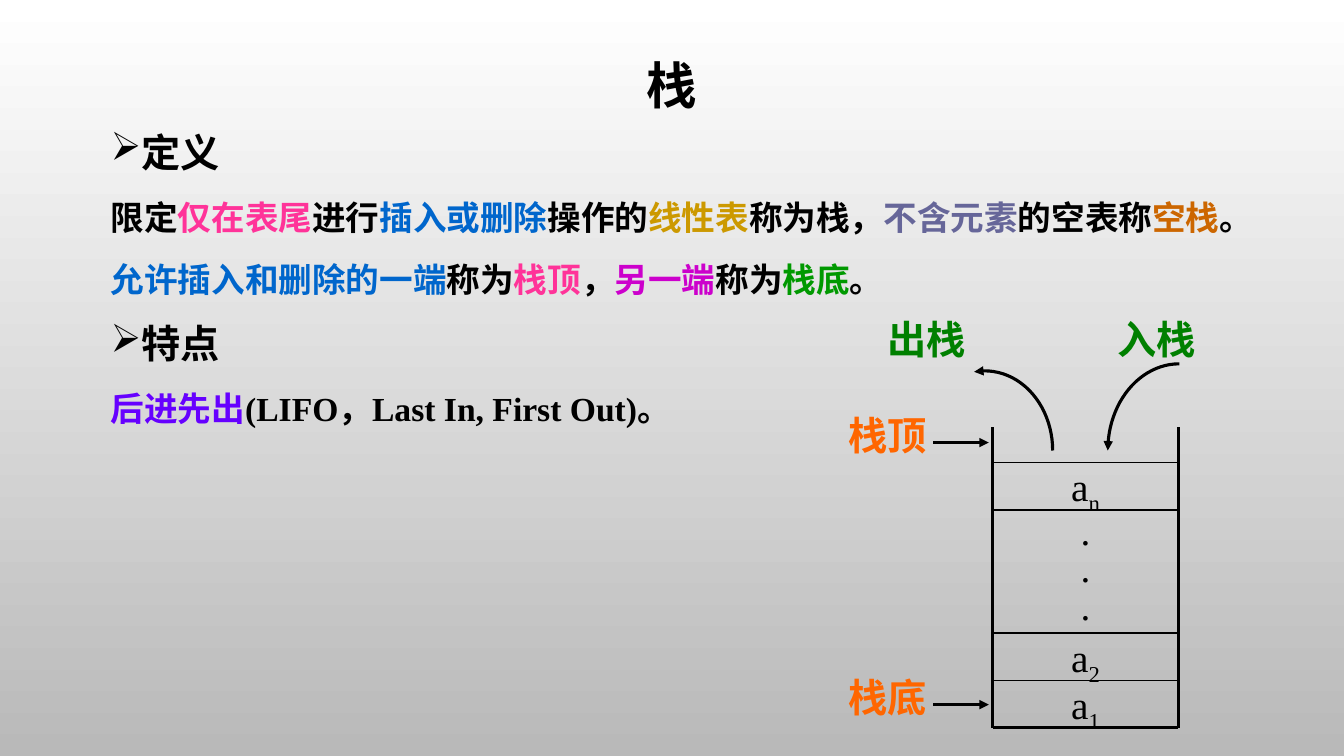
import math

from lxml import etree
from pptx import Presentation
from pptx.dml.color import RGBColor
from pptx.enum.shapes import MSO_CONNECTOR
from pptx.enum.text import MSO_ANCHOR, PP_ALIGN
from pptx.oxml.ns import qn
from pptx.util import Pt

CENTER, LEFT = PP_ALIGN.CENTER, PP_ALIGN.LEFT
TOP, MIDDLE = MSO_ANCHOR.TOP, MSO_ANCHOR.MIDDLE
STRAIGHT = MSO_CONNECTOR.STRAIGHT
SERIF, CHINESE = "Times New Roman", "Noto Sans CJK SC"
BLACK, PINK, BLUE = "000000", "FF3399", "0066CC"
ORANGE, GREEN = "FF6600", "008000"

deck = Presentation()
deck.slide_width, deck.slide_height = Pt(960), Pt(540)
slide = deck.slides.add_slide(deck.slide_layouts[6])


def add_text(bounds, paragraphs, font=SERIF, anchor=TOP, margin_top=3.6):
    """Each paragraph is (paragraph format, font format, [(text, colour), ...])."""
    box = slide.shapes.add_textbox(*(Pt(value) for value in bounds))
    frame = box.text_frame
    frame.word_wrap = True
    frame.vertical_anchor = anchor
    frame.margin_top = Pt(margin_top)
    for index, (para_format, font_format, pieces) in enumerate(paragraphs):
        para = frame.add_paragraph() if index else frame.paragraphs[0]
        for name, value in para_format.items():
            setattr(para, name, value)
        for text, color in pieces:
            span = para.add_run()
            span.text = text
            span.font.name = font
            span.font.color.rgb = RGBColor.from_string(color)
            for name, value in font_format.items():
                setattr(span.font, name, value)
            etree.SubElement(span.font._element, qn("a:ea"), typeface=CHINESE)
    return box


def style_line(shape, weight, arrow=False):
    shape.line.color.rgb = RGBColor.from_string(BLACK)
    shape.line.width = Pt(weight)
    properties = shape._element.spPr
    if arrow:
        etree.SubElement(properties.find(qn("a:ln")), qn("a:tailEnd"), type="triangle")
    if properties.find(qn("a:effectLst")) is None:
        etree.SubElement(properties, qn("a:effectLst"))


# Background
fill = slide.background.fill
fill.gradient()
fill.gradient_angle = 270
for stop, (position, color) in zip(fill.gradient_stops, [(0, "FFFFFF"), (1, "B9B9B9")]):
    stop.position = position
    stop.color.rgb = RGBColor.from_string(color)

# Title and body
add_text((72, 0, 816, 126),
         [({"alignment": CENTER, "line_spacing": 0.9},
           {"size": Pt(36), "bold": True}, [("栈", BLACK)])],
         font="Calibri", anchor=MIDDLE)

heading = ({"line_spacing": Pt(40), "space_before": Pt(8)}, {"size": Pt(28), "bold": True})
detail = ({"line_spacing": Pt(34.3), "space_before": Pt(10)}, {"size": Pt(24), "bold": True})
body = add_text((72, 85, 816, 436), [
    (*heading, [("定义", BLACK)]),
    (*detail, [("限定", BLACK), ("仅在表尾", PINK), ("进行", BLACK), ("插入或删除", BLUE),
               ("操作的", BLACK), ("线性表", "CC9900"), ("称为栈，", BLACK),
               ("不含元素", "666699"), ("的空表称", BLACK), ("空栈", "CC6600"),
               ("。", BLACK)]),
    (*detail, [("允许插入和删除的一端", BLUE), ("称为", BLACK), ("栈顶", PINK), ("，", BLACK),
               ("另一端", "CC00CC"), ("称为", BLACK), ("栈底", "009900"), ("。", BLACK)]),
    (*heading, [("特点", BLACK)]),
    (*detail, [("后进先出", "6600FF"), ("(LIFO，Last In, First Out)。", BLACK)]),
], margin_top=0)
for index in (0, 3):
    properties = body.text_frame.paragraphs[index]._p.get_or_add_pPr()
    properties.set("marL", str(Pt(18)))
    properties.set("indent", str(-Pt(18)))
    bullet_color = etree.SubElement(properties, qn("a:buClr"))
    etree.SubElement(bullet_color, qn("a:srgbClr"), val=BLACK)
    etree.SubElement(properties, qn("a:buChar"), char="➢")

# Stack cells
stack_left, stack_right, stack_rim = 709.2, 841.7, 305.3
cell_edges = [330.5, 364.3, 452.2, 486, 519.8]
cell_format = {"alignment": CENTER, "line_spacing": 0.8}
for top, bottom, subscript in zip(cell_edges, cell_edges[1:], ["n", None, "2", "1"]):
    bounds = (stack_left, top, stack_right - stack_left, bottom - top)
    if subscript:
        para_format = {**cell_format, "space_before": Pt(5.6)}
        cell = add_text(bounds, [(para_format, {"size": Pt(28)},
                                  [("a", BLACK), (subscript, BLACK)])])
        cell.text_frame.paragraphs[0].runs[1].font._element.set("baseline", "-25000")
    else:
        add_text(bounds, [(cell_format, {"size": Pt(28)}, [(".", BLACK)])] * 3)

# Cell borders, walls and pointers
floor = cell_edges[-1]
lines = [(stack_left, y, stack_right, y, 1, False) for y in cell_edges[:-1]]
lines.append((stack_left, floor, stack_right, floor, 2.25, False))
lines += [(x, stack_rim, x, floor, 2.25, False) for x in (stack_left, stack_right)]
lines += [(666.7, y, 706.3, y, 2.25, True) for y in (316.1, 503.3)]
for x1, y1, x2, y2, weight, arrow in lines:
    line = slide.shapes.add_connector(STRAIGHT, Pt(x1), Pt(y1), Pt(x2), Pt(y2))
    style_line(line, weight, arrow)

# Labels
for text, left, top, width, color in [
    ("栈底", 599, 481, 73.4, ORANGE),
    ("栈顶", 599, 293.8, 73.4, ORANGE),
    ("出栈", 627.1, 225.4, 90.7, GREEN),
    ("入栈", 791.3, 225.4, 79.2, GREEN),
]:
    add_text((left, top, width, 41),
             [({"alignment": LEFT}, {"size": Pt(28), "bold": True}, [(text, color)])],
             font=CHINESE, margin_top=0)

# Pop and push arcs: centre, radii, first and last angle in degrees
STEPS = 24
for center_x, center_y, radius_x, radius_y, first, last in [
    (703.4, 321.8, 48.5, 56.9, 0, -99),
    (842.4, 321.8, 51.1, 61.9, -90, -180),
]:
    angles = [math.radians(first + (last - first) * step / STEPS) for step in range(STEPS + 1)]
    points = [(Pt(center_x + radius_x * math.cos(angle)),
               Pt(center_y + radius_y * math.sin(angle))) for angle in angles]
    builder = slide.shapes.build_freeform(*points[0])
    builder.add_line_segments(points[1:], close=False)
    arc = builder.convert_to_shape()
    arc.shadow.inherit = False
    arc.fill.background()
    style_line(arc, 2.25, arrow=True)

deck.save("out.pptx")
